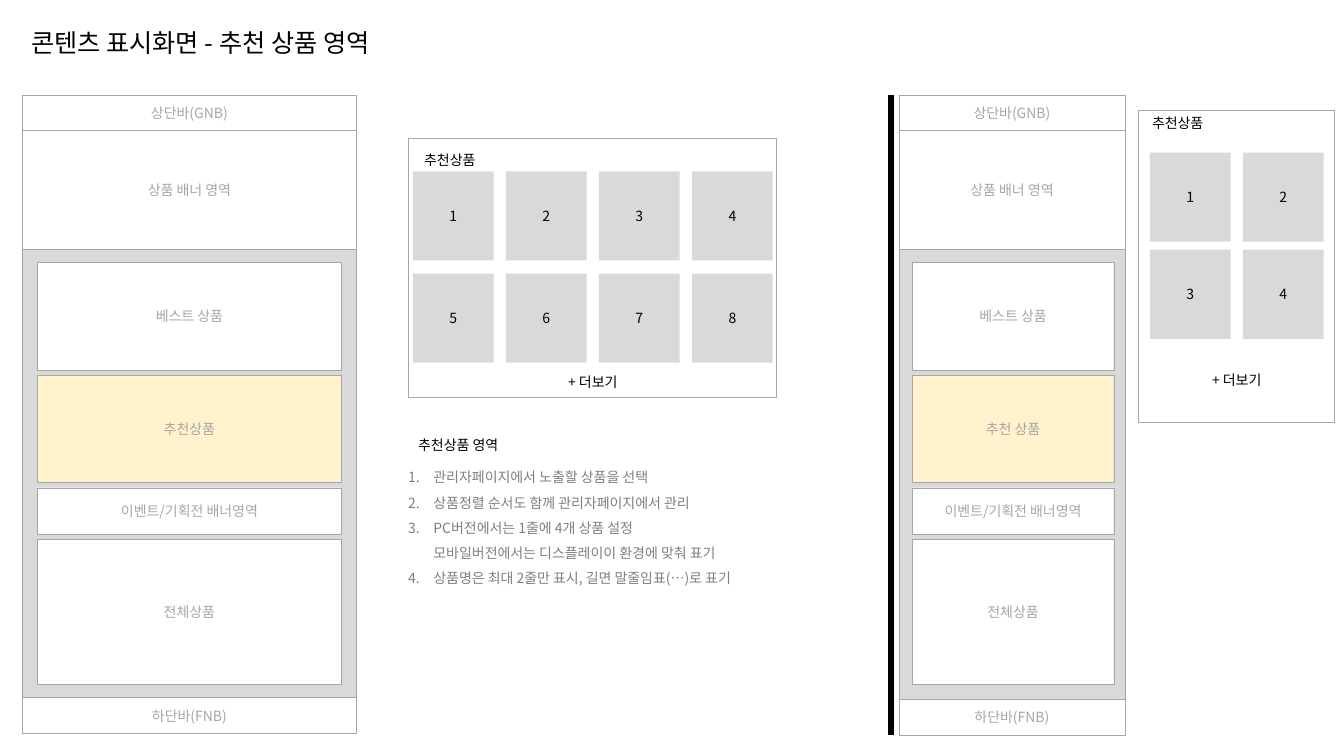
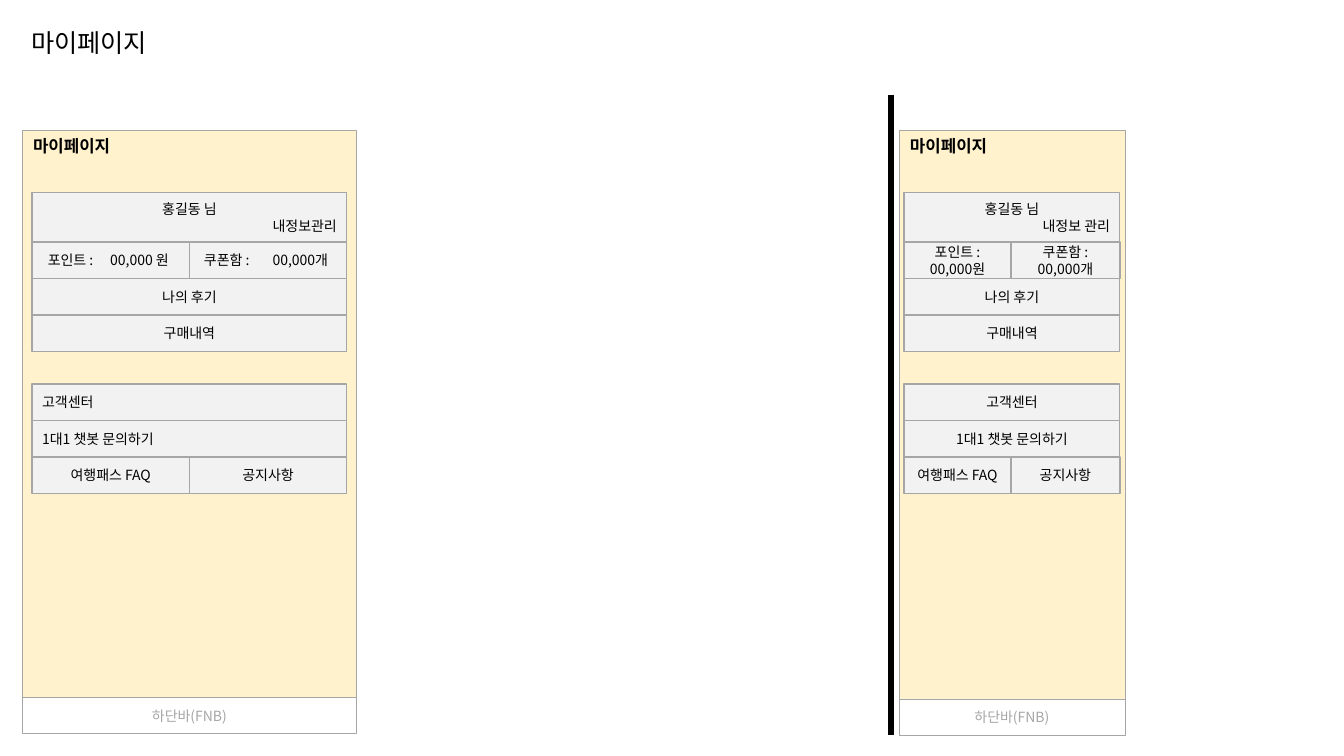
from dataclasses import dataclass

from lxml import etree
from pptx import Presentation
from pptx.dml.color import RGBColor
from pptx.enum.shapes import MSO_CONNECTOR, MSO_SHAPE
from pptx.enum.text import MSO_ANCHOR, MSO_AUTO_SIZE, PP_ALIGN
from pptx.oxml.ns import qn
from pptx.util import Pt

RECTANGLE = MSO_SHAPE.RECTANGLE
STRAIGHT = MSO_CONNECTOR.STRAIGHT
MIDDLE = MSO_ANCHOR.MIDDLE
FIT_SHAPE = MSO_AUTO_SIZE.SHAPE_TO_FIT_TEXT
LEFT, CENTER, RIGHT = PP_ALIGN.LEFT, PP_ALIGN.CENTER, PP_ALIGN.RIGHT

FONT = "Noto Sans CJK KR"
COLORS = {
    "white": "FFFFFF",
    "black": "000000",
    "border": "A6A6A6",
    "backdrop": "D9D9D9",
    "highlight": "FFF2CC",
    "cell": "F2F2F2",
    "note": "808080",
}

# Vertical layout shared by the PC and mobile screens
TOP_BAR = 67.7
BANNER = 92.9
BODY = 177.8
BAR_HEIGHT = 25.9
SECTION_TOP = 187.2
SECTION_GAP = 3.6
PROFILE_TOP, PROFILE_HEIGHT = 137.5, 35.3
SUPPORT_TOP = 274.3
ROW_HEIGHT = 26.1

# Product tiles
TILE_WIDTH, TILE_HEIGHT = 57.6, 63.6
TILE_PITCH = 66.45


@dataclass
class Screen:
    left: float
    width: float
    footer_top: float
    section_left: float
    section_width: float
    menu_left: float
    menu_width: float
    menu_split: float


PC = Screen(15.8, 239, 498.2, 26.6, 217.4, 23, 224.6, 112.3)
MOBILE = Screen(642.2, 161.3, 499.2, 651.6, 144, 645.8, 154.1, 76.3)


# Text
def write(frame, lines, size=10, color="black", aligns=(LEFT,), bold=False):
    frame.word_wrap = True
    for index, line in enumerate(lines):
        paragraph = frame.paragraphs[0] if index == 0 else frame.add_paragraph()
        paragraph.text = line
        paragraph.alignment = aligns[min(index, len(aligns) - 1)]
        font = paragraph.font
        font.name, font.size, font.bold = FONT, Pt(size), bold
        font.color.rgb = RGBColor.from_string(COLORS[color])
        defaults = paragraph_defaults(paragraph)
        etree.SubElement(defaults, qn("a:ea"), typeface=FONT)


def paragraph_defaults(paragraph):
    return paragraph._p.get_or_add_pPr().get_or_add_defRPr()


def add_text(slide, box, lines, **style):
    shape = slide.shapes.add_textbox(*map(Pt, box))
    write(shape.text_frame, lines, **style)
    shape.text_frame.auto_size = FIT_SHAPE
    return shape.text_frame


def add_numbered_list(slide, box, items):
    frame = add_text(slide, box, items, color="note")
    frame.margin_left = frame.margin_right = 0
    frame.margin_top = frame.margin_bottom = 0
    for paragraph in frame.paragraphs:
        paragraph.line_spacing = 1.5
        properties = paragraph._p.get_or_add_pPr()
        properties.set("marL", str(Pt(18)))
        properties.set("indent", str(-Pt(18)))
        numbering = etree.Element(qn("a:buAutoNum"), type="arabicPeriod")
        paragraph_defaults(paragraph).addprevious(numbering)


# Shapes
def add_box(shapes, box, fill="white", line="border", line_width=0.25,
            lines=(), color="border", aligns=(CENTER,)):
    shape = shapes.add_shape(RECTANGLE, *map(Pt, box))
    shape.shadow.inherit = False
    shape.fill.solid()
    shape.fill.fore_color.rgb = RGBColor.from_string(COLORS[fill])
    if line:
        shape.line.color.rgb = RGBColor.from_string(COLORS[line])
        shape.line.width = Pt(line_width)
    else:
        shape.line.fill.background()
    shape.text_frame.vertical_anchor = MIDDLE
    write(shape.text_frame, lines, color=color, aligns=aligns)
    return shape


def add_divider(slide):
    line = slide.shapes.add_connector(
        STRAIGHT, Pt(636.5), Pt(67.7), Pt(636.5), Pt(524.9))
    line.line.color.rgb = RGBColor.from_string(COLORS["black"])
    line.line.width = Pt(4.5)
    etree.SubElement(line._element.spPr, qn("a:effectLst"))


def add_bar(slide, screen, top, label, height=BAR_HEIGHT):
    add_box(slide.shapes, (screen.left, top, screen.width, height), lines=[label])


def add_footer(slide, screen):
    add_bar(slide, screen, screen.footer_top, "하단바(FNB)")


def add_page(presentation, title):
    slide = presentation.slides.add_slide(presentation.slide_layouts[6])
    add_text(slide, (15.1, 15.8, 919.4, 28.8), [title], size=18)
    add_divider(slide)
    return slide


# Product page
def add_product_screen(slide, screen, recommended):
    add_box(slide.shapes, (screen.left, BODY, screen.width, screen.footer_top - BODY),
            fill="backdrop")
    add_bar(slide, screen, TOP_BAR, "상단바(GNB)")
    add_bar(slide, screen, BANNER, "상품 배너 영역", BODY - BANNER)
    sections = [
        ("베스트 상품", 77, "white"),
        (recommended, 77, "highlight"),
        ("이벤트/기획전 배너영역", 33.1, "white"),
        ("전체상품", 103.9, "white"),
    ]
    top = SECTION_TOP
    for label, height, fill in sections:
        add_box(slide.shapes, (screen.section_left, top, screen.section_width, height),
                fill=fill, lines=[label])
        top += height + SECTION_GAP
    add_footer(slide, screen)


def add_product_panel(slide, panel, heading, tiles, columns, row_pitch, more):
    add_box(slide.shapes, panel)
    add_text(slide, (*heading, 122.4, 19.4), ["추천상품"])
    left, top = tiles
    group = slide.shapes.add_group_shape()
    for index in range(2 * columns):
        row, column = divmod(index, columns)
        box = (left + column * TILE_PITCH, top + row * row_pitch,
               TILE_WIDTH, TILE_HEIGHT)
        add_box(group.shapes, box, fill="backdrop", line=None,
                lines=[str(index + 1)], color="black")
    add_text(slide, (*more, 122.4, 19.4), ["+ 더보기"], aligns=(CENTER,))


def build_product_page(presentation):
    slide = add_page(presentation, "콘텐츠 표시화면 - 추천 상품 영역")
    add_product_screen(slide, PC, "추천상품")
    add_product_screen(slide, MOBILE, "추천 상품")
    add_product_panel(slide, (291.6, 98.6, 262.8, 185), (295.9, 104.4),
                      (295, 122.5), 4, 73, (362.2, 263.5))
    add_product_panel(slide, (812.9, 78.8, 140.4, 222.5), (815.8, 78.5),
                      (821.4, 109.1), 2, 69.3, (822.2, 262.1))
    add_text(slide, (291.6, 308.2, 180.7, 19.4), ["추천상품 영역"])
    add_numbered_list(slide, (291.6, 329, 283, 88.6), [
        "관리자페이지에서 노출할 상품을 선택",
        "상품정렬 순서도 함께 관리자페이지에서 관리",
        "PC버전에서는 1줄에 4개 상품 설정\v모바일버전에서는 디스플레이이 환경에 맞춰 표기",
        "상품명은 최대 2줄만 표시, 길면 말줄임표(…)로 표기",
    ])


# My page
def add_menu_row(slide, screen, top, *cells, height=ROW_HEIGHT, aligns=(CENTER,)):
    edges = [0, screen.menu_width]
    if len(cells) == 2:
        edges.insert(1, screen.menu_split)
    return [
        add_box(slide.shapes, (screen.menu_left + start, top, end - start, height),
                fill="cell", line_width=1, lines=lines, color="black", aligns=aligns)
        for lines, start, end in zip(cells, edges, edges[1:])
    ]


def set_tab(shape, inset, position):
    shape.text_frame.margin_left = Pt(inset)
    tabs = etree.Element(qn("a:tabLst"))
    etree.SubElement(tabs, qn("a:tab"), pos=str(Pt(position)), algn="l")
    paragraph_defaults(shape.text_frame.paragraphs[0]).addprevious(tabs)


def add_my_screen(slide, screen, profile, balances, balance_align, support_align):
    add_box(slide.shapes,
            (screen.left, BANNER, screen.width, screen.footer_top - BANNER),
            fill="highlight")
    add_text(slide, (screen.left + 0.7, 93.6, 142.6, 21.6), ["마이페이지"],
             size=12, bold=True)
    add_footer(slide, screen)

    # Profile, balances and history
    add_menu_row(slide, screen, PROFILE_TOP, profile,
                 height=PROFILE_HEIGHT, aligns=(CENTER, RIGHT))
    top = PROFILE_TOP + PROFILE_HEIGHT
    balance_cells = add_menu_row(slide, screen, top, *balances, aligns=(balance_align,))
    for number, label in enumerate(("나의 후기", "구매내역"), start=1):
        add_menu_row(slide, screen, top + number * ROW_HEIGHT, [label])

    # Customer support
    for number, label in enumerate(("고객센터", "1대1 챗봇 문의하기")):
        add_menu_row(slide, screen, SUPPORT_TOP + number * ROW_HEIGHT, [label],
                     aligns=(support_align,))
    add_menu_row(slide, screen, SUPPORT_TOP + 2 * ROW_HEIGHT,
                 ["여행패스 FAQ"], ["공지사항"])
    return balance_cells


def build_my_page(presentation):
    slide = add_page(presentation, "마이페이지")
    points, coupons = add_my_screen(
        slide, PC, ["홍길동 님", "내정보관리"],
        (["포인트 :\t00,000 원"], ["쿠폰함 :\t00,000개"]), LEFT, LEFT)
    set_tab(points, 11.2, 44.6)
    set_tab(coupons, 10.4, 49)
    add_my_screen(
        slide, MOBILE, ["홍길동 님", "내정보 관리"],
        (["포인트 :", "00,000원"], ["쿠폰함 :", "00,000개"]), CENTER, CENTER)


def main():
    presentation = Presentation()
    presentation.slide_width, presentation.slide_height = Pt(960), Pt(540)
    build_product_page(presentation)
    build_my_page(presentation)
    presentation.save("out.pptx")


if __name__ == "__main__":
    main()
